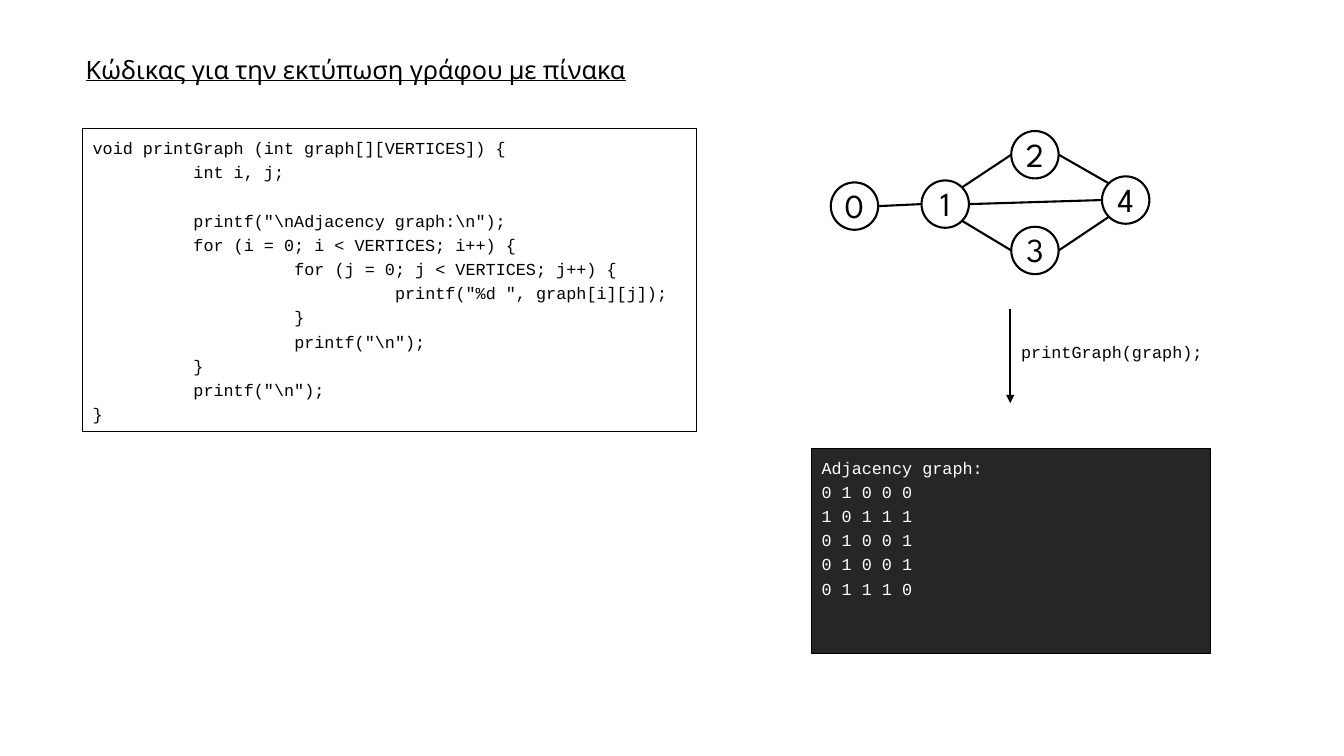
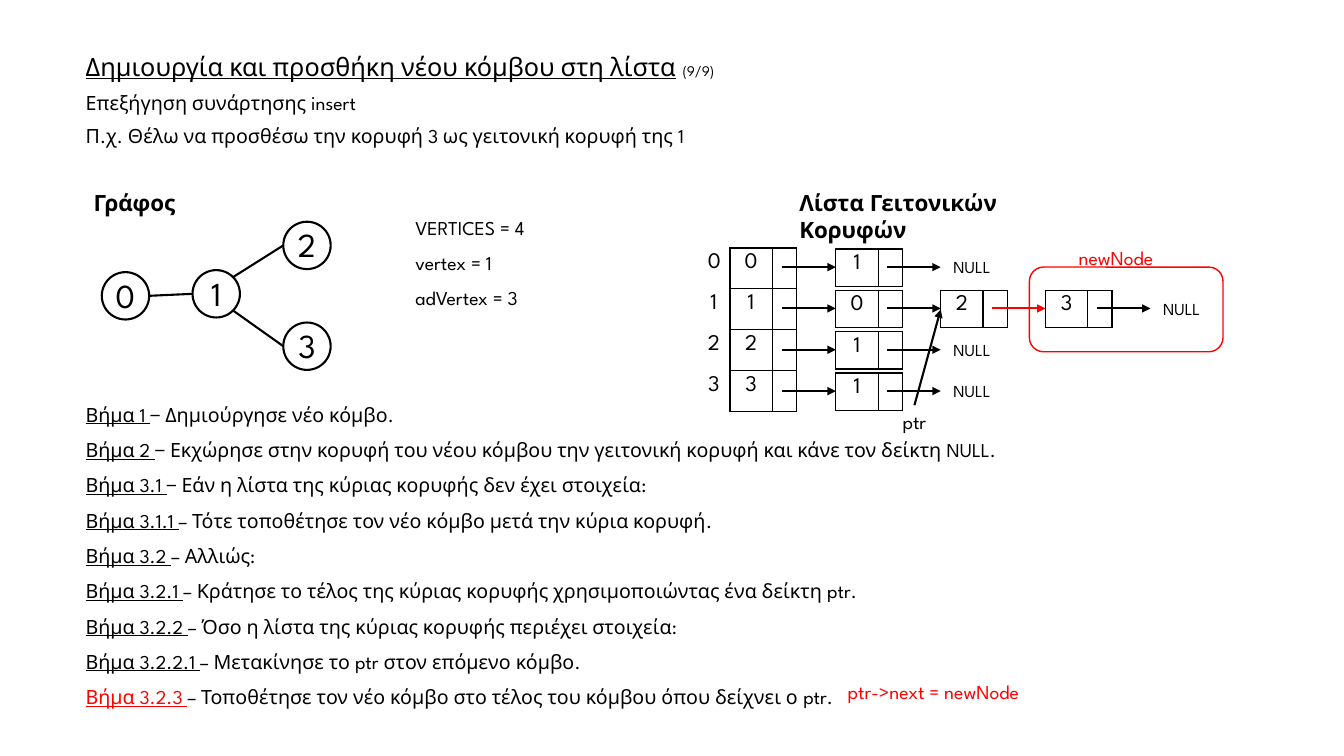
from dataclasses import dataclass, replace
from typing import NamedTuple, Optional, Sequence, Union

from lxml import etree
from pptx import Presentation
from pptx.dml.color import RGBColor
from pptx.enum import shapes, text
from pptx.oxml import ns
from pptx.util import Inches, Pt


@dataclass(frozen=True)
class Theme:
    black: str = "000000"
    white: str = "FFFFFF"
    red: str = "FF0000"
    terminal: str = "262626"
    sans: str = "League Spartan"
    mono: str = "Courier New"
    heading: float = 18
    counter: float = 10.5
    body: float = 14
    label: float = 16
    vertex: float = 24
    small: float = 12
    stroke: float = 1.5
    border: float = 1
    frame: float = 0.75


THEME = Theme()


@dataclass(frozen=True)
class Style:
    size: float = THEME.body
    color: str = THEME.black
    font: str = THEME.sans
    bold: bool = False
    centered: bool = False
    line_spacing: float = 1.0
    space_before: float = 0
    tab_stops: Sequence[float] = ()


class Span(NamedTuple):
    text: str
    underline: bool = False
    size: Optional[float] = None
    color: Optional[str] = None


class Box(NamedTuple):
    left: float
    top: float
    width: float
    height: float


class Point(NamedTuple):
    x: float
    y: float


class Edge(NamedTuple):
    start: int
    start_side: str
    end: int
    end_side: str


Line = Union[str, Sequence[Span]]

LABEL = Style(THEME.label, bold=True)
CELL = Style(THEME.label, centered=True)
VERTEX = Style(THEME.vertex, centered=True)
NULL = Style(THEME.small, centered=True)
CODE = Style(THEME.small, font=THEME.mono, line_spacing=1.2)
SPACED = Style(line_spacing=0.9, space_before=10)

NODE_SIZE = 0.47
SIDES = {"E": (1, 0.5), "W": (0, 0.5), "NE": (0.85, 0.15),
         "SE": (0.85, 0.85), "NW": (0.15, 0.15), "SW": (0.15, 0.85)}

PRINT_CODE = """void printGraph (int graph[][VERTICES]) {
\tint i, j;
\t
\tprintf("\\nAdjacency graph:\\n");
\tfor (i = 0; i < VERTICES; i++) {
\t\tfor (j = 0; j < VERTICES; j++) {
\t\t\tprintf("%d ", graph[i][j]);
\t\t}
\t\tprintf("\\n");
\t}
\tprintf("\\n");
}"""
PRINT_OUTPUT = """Adjacency graph:
0 1 0 0 0
1 0 1 1 1
0 1 0 0 1
0 1 0 0 1
0 1 1 1 0"""

STEPS = [
    ("Βήμα 1 ", "− Δημιούργησε νέο κόμβο."),
    ("Βήμα 2 ", "− Εκχώρησε στην κορυφή του νέου κόμβου την γειτονική κορυφή "
                "και κάνε τον δείκτη NULL."),
    ("Βήμα 3.1 ", "− Εάν η λίστα της κύριας κορυφής δεν έχει στοιχεία:"),
    ("Βήμα 3.1.1 ", "– Τότε τοποθέτησε τον νέο κόμβο μετά την κύρια κορυφή."),
    ("Βήμα 3.2 ", "– Αλλιώς:"),
    ("Βήμα 3.2.1 ", "– Κράτησε το τέλος της κύριας κορυφής χρησιμοποιώντας "
                    "ένα δείκτη ptr."),
    ("Βήμα 3.2.2 ", "– Όσο η λίστα της κύριας κορυφής περιέχει στοιχεία:"),
    ("Βήμα 3.2.2.1 ", "– Μετακίνησε το ptr στον επόμενο κόμβο."),
    ("Βήμα 3.2.3 ", "– Τοποθέτησε τον νέο κόμβο στο τέλος του κόμβου όπου "
                    "δείχνει ο ptr."),
]


def inches(values: Sequence[float]) -> list:
    return [Inches(value) for value in values]


def add_tab_stops(para, stops: Sequence[float]) -> None:
    tabs = etree.SubElement(para._p.get_or_add_pPr(), ns.qn("a:tabLst"))
    for stop in stops:
        etree.SubElement(tabs, ns.qn("a:tab"), pos=str(Inches(stop)), algn="l")


def write(frame, lines: Sequence[Line], style: Style) -> None:
    for index, line in enumerate(lines):
        para = frame.add_paragraph() if index else frame.paragraphs[0]
        para.alignment = (text.PP_ALIGN.CENTER if style.centered
                          else text.PP_ALIGN.LEFT)
        para.line_spacing = style.line_spacing
        para.space_before = Pt(style.space_before if index else 0)
        if style.tab_stops:
            add_tab_stops(para, style.tab_stops)
        font = para.font
        font.name, font.size, font.bold = style.font, Pt(style.size), style.bold
        font.color.rgb = RGBColor.from_string(style.color)
        for span in [Span(line)] if isinstance(line, str) else line:
            run = para.add_run()
            run.text = span.text
            if span.underline:
                run.font.underline = True
            if span.size:
                run.font.size = Pt(span.size)
            if span.color:
                run.font.color.rgb = RGBColor.from_string(span.color)


def add_title(page, box: Box, lines: Sequence[Line], style: Style) -> None:
    title = page.shapes.title
    title.left, title.top, title.width, title.height = inches(box)
    frame = title.text_frame
    frame.auto_size = text.MSO_AUTO_SIZE.NONE
    frame.vertical_anchor = text.MSO_ANCHOR.TOP
    write(frame, lines, style)


def add_text(page, box: Box, lines: Sequence[Line], style: Style) -> None:
    frame = page.shapes.add_textbox(*inches(box)).text_frame
    frame.word_wrap = True
    write(frame, lines, style)


def add_outline(page, preset, box: Box, width: float,
                color: str = THEME.black, fill: Optional[str] = None):
    shape = page.shapes.add_shape(preset, *inches(box))
    shape.shadow.inherit = False
    if fill:
        shape.fill.solid()
        shape.fill.fore_color.rgb = RGBColor.from_string(fill)
    else:
        shape.fill.background()
    shape.line.color.rgb = RGBColor.from_string(color)
    shape.line.width = Pt(width)
    return shape


def add_code(page, box: Box, code: str, style: Style,
             fill: Optional[str] = None) -> None:
    panel = add_outline(page, shapes.MSO_SHAPE.RECTANGLE, box, THEME.frame,
                        fill=fill)
    panel.text_frame.vertical_anchor = text.MSO_ANCHOR.TOP
    write(panel.text_frame, code.split("\n"), style)


def add_line(page, start: Point, end: Point, color: str = THEME.black,
             arrow: bool = True) -> None:
    line = page.shapes.add_connector(shapes.MSO_CONNECTOR.STRAIGHT,
                                     *inches(start + end))
    line.line.color.rgb = RGBColor.from_string(color)
    line.line.width = Pt(THEME.stroke)
    properties = line._element.spPr
    if arrow:
        etree.SubElement(properties.find(ns.qn("a:ln")), ns.qn("a:tailEnd"),
                         type="triangle")
    etree.SubElement(properties, ns.qn("a:effectLst"))


def add_graph(page, nodes: Sequence[Point], edges: Sequence[Edge]) -> None:
    """Draw circles numbered from 0 and the edges between their sides."""
    def anchor(node: int, side: str) -> Point:
        across, down = SIDES[side]
        return Point(nodes[node].x + across * NODE_SIZE,
                     nodes[node].y + down * NODE_SIZE)

    for number, node in enumerate(nodes):
        circle = add_outline(page, shapes.MSO_SHAPE.OVAL,
                             Box(*node, NODE_SIZE, NODE_SIZE), THEME.stroke)
        frame = circle.text_frame
        frame.margin_left = frame.margin_right = 0
        frame.margin_top, frame.margin_bottom = 0, Inches(0.02)
        frame.word_wrap = False
        write(frame, [str(number)], VERTEX)
    for edge in edges:
        add_line(page, anchor(edge.start, edge.start_side),
                 anchor(edge.end, edge.end_side), arrow=False)


def set_borders(cell, visible: str) -> None:
    """Draw the sides named in visible (L, R, T, B) and clear the others."""
    properties = cell._tc.get_or_add_tcPr()
    for side in "LRTB":
        line = etree.SubElement(properties, ns.qn(f"a:ln{side}"),
                                w=str(Pt(THEME.border)))
        if side in visible:
            fill = etree.SubElement(line, ns.qn("a:solidFill"))
            etree.SubElement(fill, ns.qn("a:srgbClr"), val=THEME.black)
        else:
            etree.SubElement(line, ns.qn("a:noFill"))


def add_cells(page, corner: Point, widths: Sequence[float], height: float,
              rows: Sequence[Sequence[str]], index_column: bool = False) -> None:
    frame = page.shapes.add_table(len(rows), len(widths), *inches(
        Box(*corner, sum(widths), height)))
    table = frame.table
    table.first_row = table.horz_banding = False
    for column, width in zip(table.columns, widths):
        column.width = Inches(width)
    for row, values in enumerate(rows):
        for column, value in enumerate(values):
            cell = table.cell(row, column)
            cell.margin_bottom = 0
            set_borders(cell, "R" if index_column and column == 0 else "LRTB")
            cell.fill.background()
            write(cell.text_frame, [value], CELL)


def add_adjacency_list(page) -> None:
    chains = [["1"], ["0", "2", "3"], ["1"], ["1"]]
    left, top, slot, pitch = 8.29, 2.47, 1.04, 0.41
    value_width, pointer_width = 0.42, 0.23
    add_cells(page, Point(6.92, 2.46), [0.32, value_width, pointer_width], 1.62,
              [[str(row), str(row), ""] for row in range(len(chains))], True)
    for row, chain in enumerate(chains):
        y = top + row * pitch
        for column, value in enumerate(chain):
            add_cells(page, Point(left + column * slot, y),
                      [value_width, pointer_width], 0.37, [[value, ""]])
        for column in range(len(chain) + 1):
            x = left + column * slot
            add_line(page, Point(x - 0.53, y + 0.18), Point(x, y + 0.18),
                     THEME.red if column == 2 else THEME.black)
        add_text(page, Box(left + len(chain) * slot, y + 0.03, 0.62, 0.3),
                 ["NULL"], NULL)


def build_print_page(page) -> None:
    add_title(page, Box(0.75, 0.52, 10.79, 0.77),
              [[Span("Κώδικας για την εκτύπωση γράφου με πίνακα", True)]],
              replace(SPACED, size=THEME.heading))
    add_code(page, Box(0.82, 1.28, 6.09, 3), PRINT_CODE,
             replace(CODE, tab_stops=(1, 2, 3)))
    add_graph(page,
              [Point(8.24, 1.81), Point(9.14, 1.79), Point(10.03, 1.3),
               Point(10.03, 2.25), Point(10.93, 1.75)],
              [Edge(0, "E", 1, "W"), Edge(1, "NE", 2, "W"),
               Edge(1, "SE", 3, "W"), Edge(1, "E", 4, "W"),
               Edge(2, "E", 4, "NW"), Edge(3, "E", 4, "SW")])
    add_line(page, Point(10.02, 3.07), Point(10.02, 4))
    add_text(page, Box(10.03, 3.34, 2.13, 0.3), ["printGraph(graph);"],
             replace(CODE, line_spacing=1.0))
    add_code(page, Box(8.05, 4.45, 3.96, 2.03), PRINT_OUTPUT,
             replace(CODE, color=THEME.white), THEME.terminal)


def build_insert_page(page) -> None:
    add_title(page, Box(0.75, 0.52, 11.83, 1.05), [
        [Span("Δημιουργία και προσθήκη νέου κόμβου στη λίστα", True, THEME.heading),
         Span(" ", size=THEME.heading), Span("(9/9)", size=THEME.counter)],
        "Επεξήγηση συνάρτησης insert",
        "Π.χ. Θέλω να προσθέσω την κορυφή 3 ως γειτονική κορυφή της 1",
    ], replace(SPACED, line_spacing=0.8))
    add_text(page, Box(0.83, 1.83, 1.08, 0.37), ["Γράφος"], LABEL)
    add_graph(page,
              [Point(1.01, 2.7), Point(1.91, 2.68), Point(2.81, 2.2),
               Point(2.81, 3.2)],
              [Edge(0, "E", 1, "W"), Edge(1, "NE", 2, "W"),
               Edge(1, "SE", 3, "W")])
    add_text(page, Box(4.02, 2.12, 2.22, 1.53),
             ["VERTICES = 4", "vertex = 1", "adVertex = 3"], SPACED)
    add_text(page, Box(7.83, 1.83, 3.25, 0.37), ["Λίστα Γειτονικών Κορυφών"],
             LABEL)
    add_adjacency_list(page)
    add_outline(page, shapes.MSO_SHAPE.ROUNDED_RECTANGLE,
                Box(10.21, 2.65, 1.92, 0.84), THEME.border, THEME.red)
    add_text(page, Box(10.6, 2.39, 1.24, 0.34), ["newNode"],
             Style(color=THEME.red))
    add_text(page, Box(8.69, 4.02, 0.76, 0.34), ["ptr"], Style(centered=True))
    add_line(page, Point(9.07, 4.02), Point(9.33, 3.07))
    last_step = STEPS[-1][0]
    add_text(page, Box(0.75, 3.83, 12.35, 3.24),
             [[Span(step, True, color=THEME.red if step == last_step else None),
               Span(action)] for step, action in STEPS],
             Style(line_spacing=1.5))
    add_text(page, Box(8.31, 6.72, 2.76, 0.39), ["ptr->next = newNode"],
             replace(SPACED, color=THEME.red))


def main() -> None:
    deck = Presentation()
    deck.slide_width, deck.slide_height = Inches(13.33), Inches(7.5)
    title_only = deck.slide_layouts[5]
    for build in (build_print_page, build_insert_page):
        build(deck.slides.add_slide(title_only))
    deck.save("out.pptx")


if __name__ == "__main__":
    main()
